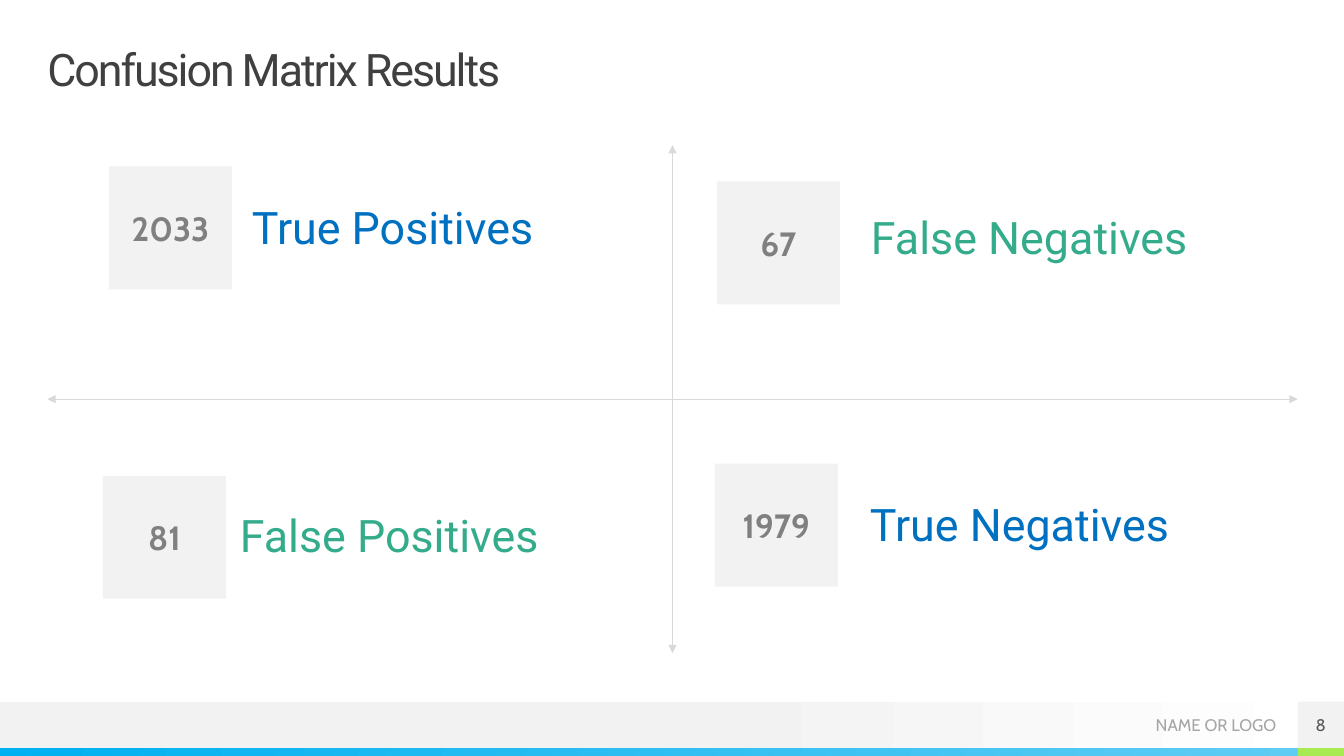
import dataclasses
import typing

import lxml.etree
import pptx
import pptx.dml.color
import pptx.enum.shapes
import pptx.enum.text
import pptx.oxml.ns
import pptx.util

Inches = pptx.util.Inches
Align = pptx.enum.text.PP_ALIGN
Anchor = pptx.enum.text.MSO_ANCHOR
qn = pptx.oxml.ns.qn


@dataclasses.dataclass(frozen=True)
class Theme:
    heading_font: str = "Roboto"
    body_font: str = "Cabin"
    title_size: int = 32
    count_size: int = 24
    footer_size: int = 12
    title: str = "404040"
    count: str = "808080"
    footer: str = "A6A6A6"
    page: str = "595959"
    panel: str = "F2F2F2"
    white: str = "FFFFFF"
    axis: str = "D9D9D9"
    correct: str = "0070C0"
    wrong: str = "34AC8B"
    bar_start: str = "00B0F0"
    bar_end: str = "5ECCF3"
    accent: str = "A7EA52"


@dataclasses.dataclass(frozen=True)
class Box:
    left: float
    top: float
    width: float
    height: float

    def emu(self) -> list[int]:
        return [Inches(v) for v in dataclasses.astuple(self)]


@dataclasses.dataclass(frozen=True)
class Outcome:
    count: str
    label: str
    color: str
    tile: tuple[float, float]
    label_box: Box


THEME = Theme()
TILE = 1.22
FOOTER_TOP, BAR_TOP = 6.96, 7.42
MARGIN, RIGHT = 0.47, 12.87
CENTER_X, CENTER_Y = 6.67, 3.96
AXIS_TOP, AXIS_BOTTOM = 1.44, 6.48

OUTCOMES = [
    Outcome("2033", "True Positives", THEME.correct, (1.08, 1.65), Box(2.4, 1.93, 3.76, 0.64)),
    Outcome("67", "False Negatives", THEME.wrong, (7.11, 1.8), Box(8.54, 2.03, 4.16, 0.64)),
    Outcome("81", "False Positives", THEME.wrong, (1.02, 4.72), Box(2.28, 4.99, 4.16, 0.64)),
    Outcome("1979", "True Negatives", THEME.correct, (7.09, 4.6), Box(8.53, 4.88, 4.31, 0.64)),
]


def rgb(color: str) -> pptx.dml.color.RGBColor:
    return pptx.dml.color.RGBColor.from_string(color)


def set_attrs(target: typing.Any, values: dict[str, typing.Any]) -> None:
    for name, value in values.items():
        setattr(target, name, value)


def write(sp: typing.Any, text: str, font: str, size: int, color: str, *, bold: bool = False,
          align: Align = Align.LEFT, anchor: Anchor = Anchor.TOP, inset: bool = True) -> typing.Any:
    """Fill a shape with one formatted run and return the run."""
    tf = sp.text_frame
    set_attrs(tf, {"word_wrap": True, "vertical_anchor": anchor})
    if not inset:
        set_attrs(tf, dict.fromkeys(
            ("margin_left", "margin_top", "margin_right", "margin_bottom"), 0))
    p = tf.paragraphs[0]
    p.alignment = align
    r = p.add_run()
    r.text = text
    set_attrs(r.font, {"name": font, "size": pptx.util.Pt(size), "bold": bold})
    r.font.color.rgb = rgb(color)
    return r


def add_rect(slide: typing.Any, box: Box, color: str) -> typing.Any:
    sp = slide.shapes.add_shape(pptx.enum.shapes.MSO_SHAPE.RECTANGLE, *box.emu())
    sp.shadow.inherit = False
    sp.line.fill.background()
    sp.fill.solid()
    sp.fill.fore_color.rgb = rgb(color)
    return sp


def add_gradient(slide: typing.Any, box: Box, stops: list[tuple[float, str]]) -> None:
    sp = add_rect(slide, box, stops[0][1])
    sp.fill.gradient()
    sp.fill.gradient_angle = 0
    for stop, (position, color) in zip(sp.fill.gradient_stops, stops):
        stop.position = position
        stop.color.rgb = rgb(color)


def add_axis(slide: typing.Any, start: tuple[float, float], end: tuple[float, float]) -> None:
    points = [Inches(v) for v in (*start, *end)]
    line = slide.shapes.add_connector(pptx.enum.shapes.MSO_CONNECTOR.STRAIGHT, *points)
    line.line.width = pptx.util.Pt(0.5)
    line.line.color.rgb = rgb(THEME.axis)
    ln = line.line._get_or_add_ln()
    for end_tag in ("a:headEnd", "a:tailEnd"):
        lxml.etree.SubElement(ln, qn(end_tag), type="triangle")
    lxml.etree.SubElement(line._element.spPr, qn("a:effectLst"))


def add_text(slide: typing.Any, box: Box, *args: typing.Any, **kwargs: typing.Any) -> typing.Any:
    return write(slide.shapes.add_textbox(*box.emu()), *args, **kwargs)


def add_footer(slide: typing.Any) -> None:
    add_gradient(slide, Box(0, FOOTER_TOP, 13.33, 0.46),
                 [(0.53, THEME.panel), (1, THEME.white)])
    add_gradient(slide, Box(0, BAR_TOP, RIGHT, 0.08),
                 [(0, THEME.bar_start), (1, THEME.bar_end)])
    add_rect(slide, Box(RIGHT, BAR_TOP, 0.46, 0.08), THEME.accent)
    add_text(slide, Box(10.42, FOOTER_TOP, 2.24, 0.47), "NAME OR LOGO", THEME.body_font,
             THEME.footer_size, THEME.footer, align=Align.RIGHT, anchor=Anchor.MIDDLE, inset=False)
    page = add_rect(slide, Box(RIGHT, FOOTER_TOP, 0.46, 0.46), THEME.panel)
    write(page, "8", THEME.body_font, THEME.footer_size, THEME.page,
          align=Align.CENTER, anchor=Anchor.MIDDLE, inset=False)


def add_title(slide: typing.Any) -> None:
    sp = slide.shapes.add_textbox(*Box(MARGIN, 0.47, 12.4, 0.47).emu())
    r = write(sp, "Confusion Matrix Results", THEME.heading_font, THEME.title_size,
              THEME.title, inset=False)
    sp.text_frame.paragraphs[0].line_spacing = 0.9
    r._r.get_or_add_rPr().set("spc", "-150")


def add_outcome(slide: typing.Any, outcome: Outcome) -> None:
    tile = add_rect(slide, Box(*outcome.tile, TILE, TILE), THEME.panel)
    write(tile, outcome.count, THEME.body_font, THEME.count_size, THEME.count,
          bold=True, align=Align.CENTER, anchor=Anchor.MIDDLE)
    add_text(slide, outcome.label_box, outcome.label, THEME.heading_font,
             THEME.title_size, outcome.color)


def main() -> None:
    prs = pptx.Presentation()
    set_attrs(prs, {"slide_width": Inches(13.33), "slide_height": Inches(7.5)})
    slide = prs.slides.add_slide(prs.slide_layouts[6])

    # Footer band and page number
    add_footer(slide)

    # Axes between the four quadrants
    add_axis(slide, (CENTER_X, AXIS_TOP), (CENTER_X, AXIS_BOTTOM))
    add_axis(slide, (MARGIN, CENTER_Y), (RIGHT, CENTER_Y))

    # Title and matrix results
    add_title(slide)
    for outcome in OUTCOMES:
        add_outcome(slide, outcome)

    prs.save("out.pptx")


if __name__ == "__main__":
    main()
